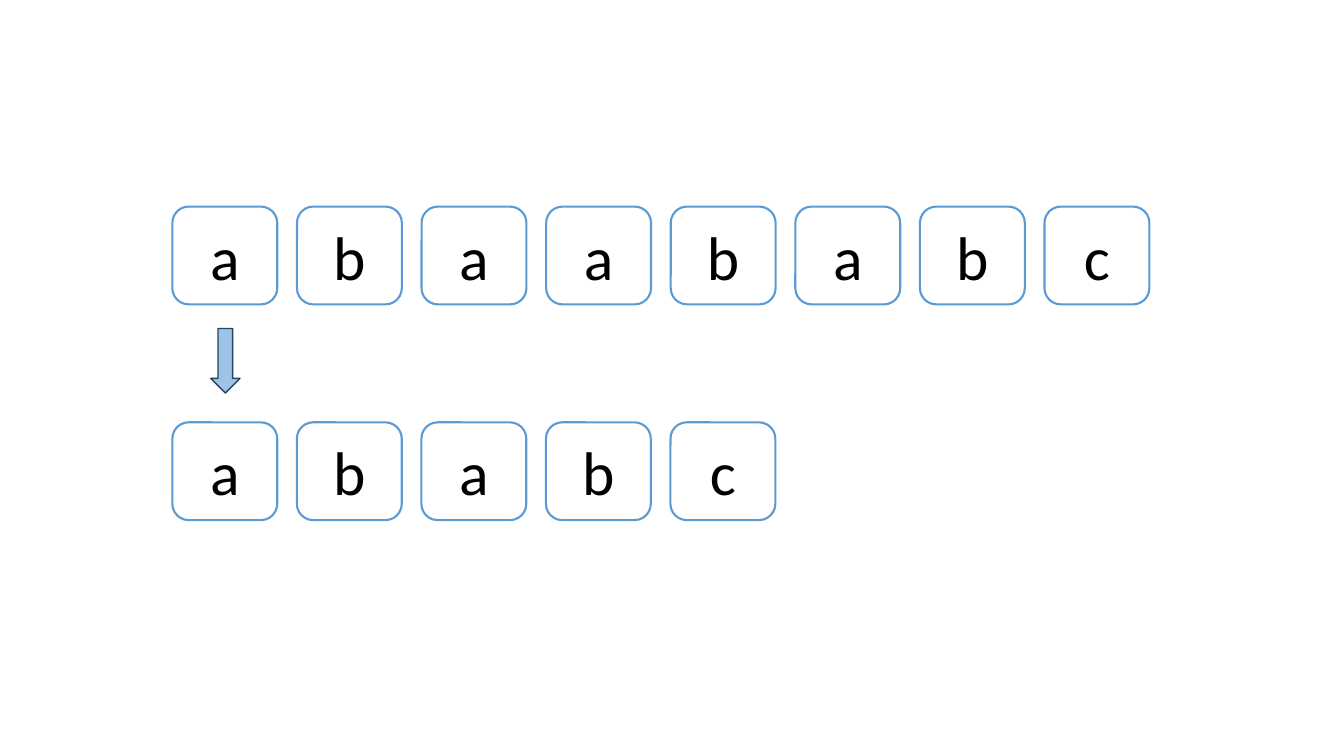
import pptx
import pptx.util
import pptx.dml.color
import pptx.enum.shapes
import pptx.enum.text

Inches = pptx.util.Inches
Pt = pptx.util.Pt
MSO_SHAPE = pptx.enum.shapes.MSO_SHAPE

TILE_WIDTH = 1.04


def rgb(value):
    return pptx.dml.color.RGBColor.from_string(value)


def add_box(shapes, kind, box, fill, line, weight):
    """Add a filled, outlined preset shape without a shadow."""
    s = shapes.add_shape(kind, *[Inches(v) for v in box])
    s.shadow.inherit = False
    s.fill.solid()
    s.fill.fore_color.rgb = rgb(fill)
    s.line.color.rgb = rgb(line)
    s.line.width = Pt(weight)
    return s


def add_letter_row(slide, box, letters):
    """Spread one tile per letter evenly across the box, as a group."""
    left, top, width, height = box
    pitch = (width - TILE_WIDTH) / (len(letters) - 1)
    row = slide.shapes.add_group_shape()
    for i, letter in enumerate(letters):
        tile = add_box(row.shapes, MSO_SHAPE.ROUNDED_RECTANGLE,
                       (left + i * pitch, top, TILE_WIDTH, height),
                       "FFFFFF", "5B9BD5", 1.5)
        tf = tile.text_frame
        tf.text = letter
        tf.vertical_anchor = pptx.enum.text.MSO_ANCHOR.MIDDLE
        p = tf.paragraphs[0]
        p.alignment = pptx.enum.text.PP_ALIGN.CENTER
        r = p.runs[0]
        r.font.name = "Calibri"
        r.font.size = Pt(44)
        r.font.color.rgb = rgb("000000")


def main():
    prs = pptx.Presentation()
    prs.slide_width = Inches(13.33)
    prs.slide_height = Inches(7.5)
    slide = prs.slides.add_slide(prs.slide_layouts[6])

    # Full string above, shortened string below
    add_letter_row(slide, (1.71, 2.05, 9.69, 0.97), "abaababc")
    add_letter_row(slide, (1.71, 4.19, 5.98, 0.97), "ababc")

    # Arrow between the first tiles
    add_box(slide.shapes, MSO_SHAPE.DOWN_ARROW, (2.09, 3.26, 0.29, 0.64),
            "9DC3E6", "28445D", 1)

    prs.save("out.pptx")


if __name__ == "__main__":
    main()
